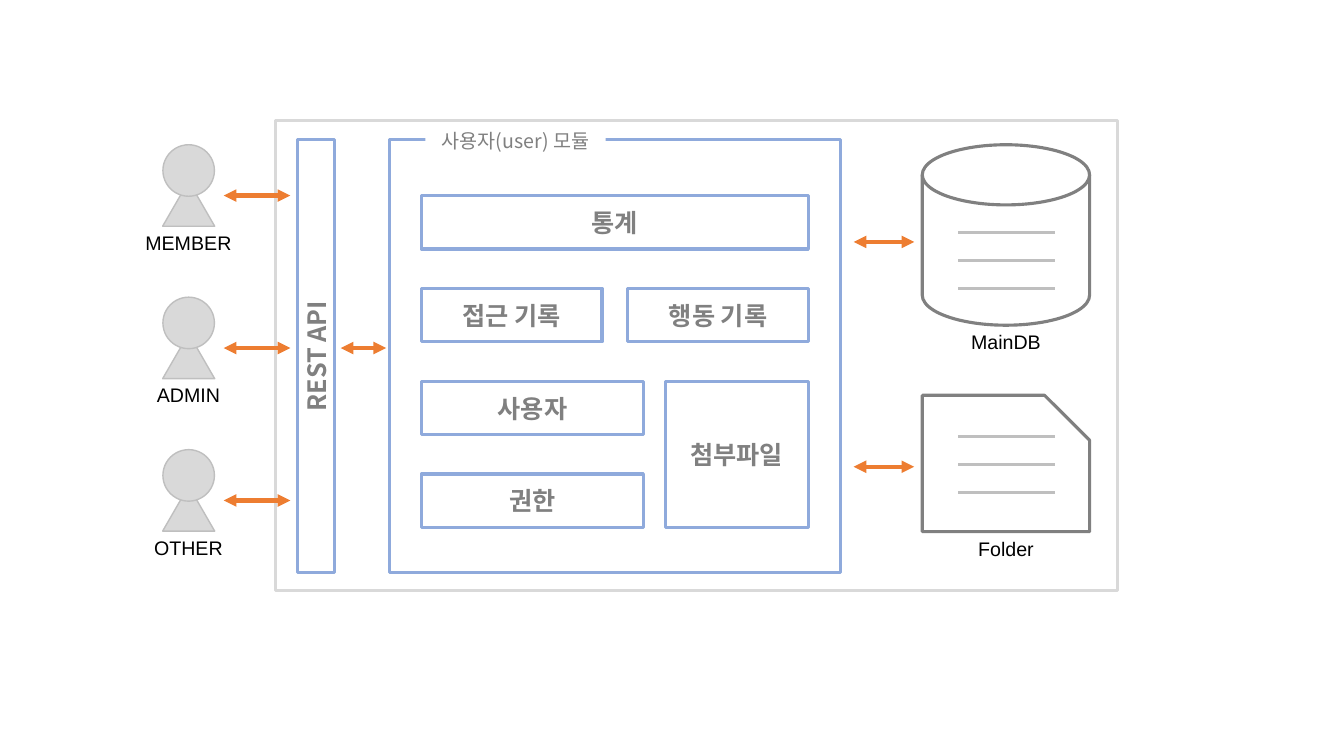
from dataclasses import dataclass

from lxml import etree
from pptx import Presentation
from pptx.dml.color import RGBColor
from pptx.enum.shapes import MSO_CONNECTOR, MSO_SHAPE
from pptx.enum.text import MSO_ANCHOR, MSO_AUTO_SIZE, PP_ALIGN
from pptx.oxml.ns import qn
from pptx.shapes.autoshape import Shape
from pptx.shapes.shapetree import GroupShapes, SlideShapes
from pptx.text.text import TextFrame
from pptx.util import Pt

RECTANGLE = MSO_SHAPE.RECTANGLE
TRIANGLE = MSO_SHAPE.ISOSCELES_TRIANGLE
OVAL = MSO_SHAPE.OVAL
DISK = MSO_SHAPE.FLOWCHART_MAGNETIC_DISK
SNIPPED = MSO_SHAPE.SNIP_1_RECTANGLE
STRAIGHT = MSO_CONNECTOR.STRAIGHT
CENTER = PP_ALIGN.CENTER
MIDDLE = MSO_ANCHOR.MIDDLE
FIT_SHAPE = MSO_AUTO_SIZE.SHAPE_TO_FIT_TEXT

WHITE = RGBColor(0xFF, 0xFF, 0xFF)
BLACK = RGBColor(0x00, 0x00, 0x00)
PALE_GRAY = RGBColor(0xD9, 0xD9, 0xD9)
LIGHT_GRAY = RGBColor(0xBF, 0xBF, 0xBF)
GRAY = RGBColor(0x80, 0x80, 0x80)
BLUE = RGBColor(0x8F, 0xAA, 0xDC)
ORANGE = RGBColor(0xED, 0x7D, 0x31)

LATIN_FONT = "Arial"
KOREAN_FONT = "Noto Sans CJK KR"

BORDER = 2.25
USER_PITCH = 108.9
ROW_TOP, ROW_PITCH, ROW_HEIGHT = 139.7, 66.3, 38.2
STORE_LEFT, STORE_WIDTH = 658.8, 119.5
RECORD_PITCH = 19.9


@dataclass(frozen=True)
class Box:
    left: float
    top: float
    width: float
    height: float


@dataclass(frozen=True)
class Block:
    text: str
    row: int
    left: float
    width: float
    rows: int = 1


@dataclass(frozen=True)
class Store:
    name: str
    kind: MSO_SHAPE
    top: float
    height: float
    first_record: float
    arrow_y: float


USERS = ("MEMBER", "ADMIN", "OTHER")
BLOCKS = (
    Block("통계", 0, 301, 276.4),
    Block("접근 기록", 1, 301, 129),
    Block("행동 기록", 1, 448.4, 129),
    Block("사용자", 2, 301, 158.6),
    Block("권한", 3, 301, 158.6),
    Block("첨부파일", 2, 475.2, 102.2, rows=2),
)
STORES = (
    Store("MainDB", DISK, 103.4, 128.9, 166.3, 172.8),
    Store("Folder", SNIPPED, 282.4, 97.4, 311.8, 333.4),
)


def write(frame: TextFrame, text: str, *, size: float, font: str,
          color: RGBColor, bold: bool = False) -> None:
    paragraph = frame.paragraphs[0]
    paragraph.alignment = CENTER
    run = paragraph.add_run()
    run.text = text
    run.font.size = Pt(size)
    run.font.bold = bold
    run.font.color.rgb = color
    run.font.name = font
    etree.SubElement(run.font._element, qn("a:ea"), typeface=font)


def draw_shape(shapes: SlideShapes | GroupShapes, kind: MSO_SHAPE, box: Box, *,
               fill: RGBColor | None = None, line: RGBColor | None = None,
               weight: float = BORDER) -> Shape:
    shape = shapes.add_shape(kind, Pt(box.left), Pt(box.top),
                             Pt(box.width), Pt(box.height))
    shape.shadow.inherit = False
    if fill is None:
        shape.fill.background()
    else:
        shape.fill.solid()
        shape.fill.fore_color.rgb = fill
    if line is None:
        shape.line.fill.background()
    else:
        shape.line.color.rgb = line
        shape.line.width = Pt(weight)
    shape.text_frame.vertical_anchor = MIDDLE
    return shape


def draw_line(shapes: SlideShapes, left: float, right: float, y: float, *,
              color: RGBColor, weight: float, arrows: bool = False) -> None:
    connector = shapes.add_connector(STRAIGHT, Pt(left), Pt(y), Pt(right), Pt(y))
    connector.line.color.rgb = color
    connector.line.width = Pt(weight)
    etree.SubElement(connector._element.spPr, qn("a:effectLst"))
    if arrows:
        for end in ("a:headEnd", "a:tailEnd"):
            etree.SubElement(connector.get_or_add_ln(), qn(end), type="triangle")


def draw_arrow(shapes: SlideShapes, left: float, right: float, y: float) -> None:
    draw_line(shapes, left, right, y, color=ORANGE, weight=3, arrows=True)


def draw_caption(shapes: SlideShapes, text: str, center: float, top: float) -> None:
    width = 76
    caption = shapes.add_textbox(Pt(center - width / 2), Pt(top), Pt(width), Pt(24.2))
    caption.text_frame.word_wrap = False
    caption.text_frame.auto_size = FIT_SHAPE
    write(caption.text_frame, text, size=14, font=LATIN_FONT, color=BLACK)


def draw_user(shapes: SlideShapes, name: str, offset: float) -> None:
    person = shapes.add_group_shape().shapes
    for kind, box in ((TRIANGLE, Box(116.2, 129.4 + offset, 37.2, 32.2)),
                      (OVAL, Box(116.4, 103.4 + offset, 36.8, 36.8))):
        draw_shape(person, kind, box, fill=PALE_GRAY, line=LIGHT_GRAY, weight=1)
    draw_caption(shapes, name, 134.6, 161.3 + offset)
    draw_arrow(shapes, 159.8, 207.4, 139.7 + offset)


def draw_block(shapes: SlideShapes, block: Block) -> None:
    box = Box(block.left, ROW_TOP + block.row * ROW_PITCH, block.width,
              ROW_HEIGHT + (block.rows - 1) * ROW_PITCH)
    shape = draw_shape(shapes, RECTANGLE, box, line=BLUE)
    write(shape.text_frame, block.text, size=18, font=KOREAN_FONT,
          color=GRAY, bold=True)


def draw_store(shapes: SlideShapes, store: Store) -> None:
    box = Box(STORE_LEFT, store.top, STORE_WIDTH, store.height)
    body = draw_shape(shapes, store.kind, box, line=GRAY)
    if store.kind == SNIPPED:
        body.adjustments[0] = 0.33
    draw_caption(shapes, store.name, STORE_LEFT + STORE_WIDTH / 2,
                 store.top + store.height)
    draw_arrow(shapes, 609.8, 653, store.arrow_y)
    for record in range(3):
        draw_line(shapes, 684.5, 753.4, store.first_record + record * RECORD_PITCH,
                  color=LIGHT_GRAY, weight=BORDER)


def main() -> None:
    presentation = Presentation()
    presentation.slide_width = Pt(960)
    presentation.slide_height = Pt(540)
    shapes = presentation.slides.add_slide(presentation.slide_layouts[6]).shapes

    draw_shape(shapes, RECTANGLE, Box(196.6, 86, 601.4, 335.6),
               fill=WHITE, line=PALE_GRAY)
    for index, name in enumerate(USERS):
        draw_user(shapes, name, index * USER_PITCH)

    rest_api = draw_shape(shapes, RECTANGLE, Box(71.1, 241.1, 309.6, 26.6), line=BLUE)
    rest_api.rotation = 270
    write(rest_api.text_frame, "REST API", size=18, font=KOREAN_FONT,
          color=GRAY, bold=True)
    draw_arrow(shapes, 243.4, 275.8, 139.7 + USER_PITCH)

    draw_shape(shapes, RECTANGLE, Box(278.4, 99.6, 322, 309.6), line=BLUE)
    title = draw_shape(shapes, RECTANGLE, Box(303.8, 89.3, 128.9, 22.3), fill=WHITE)
    write(title.text_frame, "사용자(user) 모듈", size=14, font=KOREAN_FONT, color=GRAY)
    for block in BLOCKS:
        draw_block(shapes, block)
    for store in STORES:
        draw_store(shapes, store)

    presentation.save("out.pptx")


if __name__ == "__main__":
    main()
